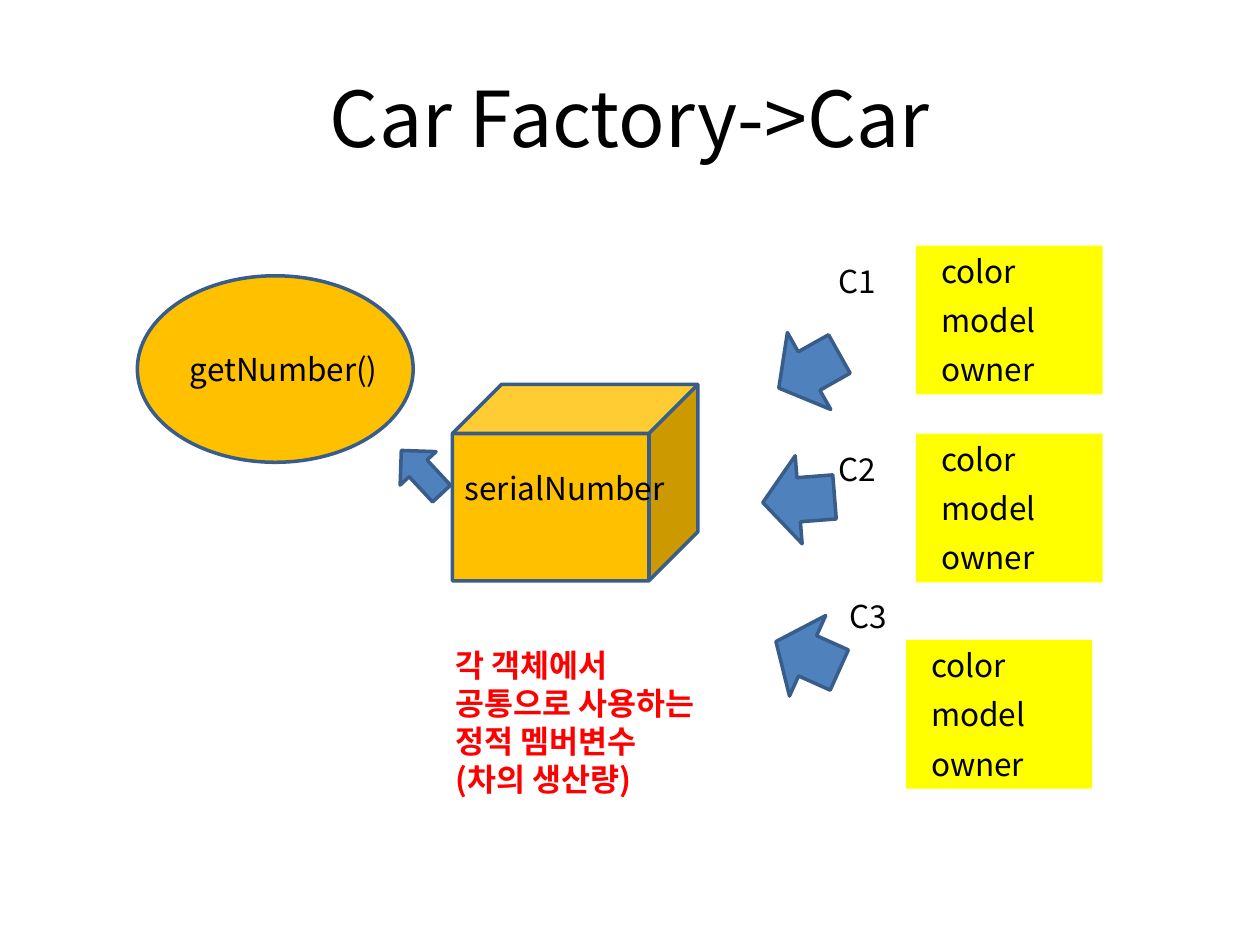
"""Build the Car Factory slide, where three cars share one static serial number."""
from lxml import etree
from pptx import Presentation, util as u
from pptx.dml.color import RGBColor
from pptx.enum import shapes, text
from pptx.oxml import ns

BLACK = RGBColor(0x00, 0x00, 0x00)
RED = RGBColor(0xFF, 0x00, 0x00)
YELLOW = RGBColor(0xFF, 0xFF, 0x00)
ORANGE = RGBColor(0xFF, 0xC0, 0x00)
BLUE = RGBColor(0x4F, 0x81, 0xBD)
NAVY = RGBColor(0x38, 0x5D, 0x8A)

ROW_HEIGHT = 1.02
ROW_PITCH = 0.99
FIELDS = ("color", "model", "owner")


class FactorySlide:
    """Hold the slide and its style, and draw each kind of element."""

    face = "Noto Sans CJK KR"
    body = {"size": u.Pt(18), "bold": False}

    def __init__(self, slide):
        """Keep the slide to draw on."""
        self.slide = slide

    def set_lines(self, shape, lines, color=BLACK, inset=0.25,
                  align=text.PP_ALIGN.LEFT, anchor=text.MSO_ANCHOR.TOP, **style):
        """Fill a shape with one paragraph per line."""
        frame = shape.text_frame
        layout = {"word_wrap": True, "vertical_anchor": anchor,
                  "margin_left": u.Cm(inset), "margin_right": u.Cm(0.25),
                  "margin_top": u.Cm(0.13), "margin_bottom": u.Cm(0.13)}
        for name, value in layout.items():
            setattr(frame, name, value)
        frame.text = "\n".join(lines)
        for paragraph in frame.paragraphs:
            paragraph.alignment = align
            for run in paragraph.runs:
                for name, value in {"name": self.face, **self.body, **style}.items():
                    setattr(run.font, name, value)
                run.font.color.rgb = color
                east_asian = etree.SubElement(run._r.get_or_add_rPr(), ns.qn("a:ea"))
                east_asian.set("typeface", self.face)

    def label(self, box, *lines, **style):
        """Add a text box."""
        self.set_lines(self.slide.shapes.add_textbox(*map(u.Cm, box)), lines, **style)

    def block(self, kind, box, fill, outlined=True, rotation=0):
        """Add a filled preset shape."""
        shape = self.slide.shapes.add_shape(kind, *map(u.Cm, box))
        shape.shadow.inherit = False
        shape.rotation = rotation
        shape.fill.solid()
        shape.fill.fore_color.rgb = fill
        if outlined:
            shape.line.color.rgb = NAVY
            shape.line.width = u.Pt(2)
        else:
            shape.line.fill.background()
        return shape

    def arrow(self, box, rotation):
        """Add a turned block arrow."""
        self.block(shapes.MSO_SHAPE.DOWN_ARROW, box, BLUE, rotation=rotation)

    def car(self, left, top):
        """Add the stacked fields of one car."""
        for row, field in enumerate(FIELDS):
            box = (left, top + row * ROW_PITCH, 3.76, ROW_HEIGHT)
            cell = self.block(shapes.MSO_SHAPE.RECTANGLE, box, YELLOW, outlined=False)
            self.set_lines(cell, [field], inset=0.51)


def main():
    """Draw the slide and save it."""
    deck = Presentation()
    deck.slide_width, deck.slide_height = u.Cm(25.4), u.Cm(19.05)
    factory = FactorySlide(deck.slides.add_slide(deck.slide_layouts[6]))

    factory.label((1.27, 0.76, 22.86, 3.18), "Car Factory->Car", size=u.Pt(44),
                  align=text.PP_ALIGN.CENTER, anchor=text.MSO_ANCHOR.MIDDLE)

    for corner in ((18.47, 4.95), (18.47, 8.74), (18.26, 12.9)):
        factory.car(*corner)

    factory.block(shapes.MSO_SHAPE.CUBE, (9.12, 7.75, 4.95, 3.96), ORANGE)
    factory.label((9.12, 9.32, 4.78, ROW_HEIGHT), "serialNumber")
    factory.label((8.94, 12.9, 5.56, 3.3), "각 객체에서 공통으로 사용하는 정적 멤버변수",
                  "(차의 생산량)", color=RED, bold=True)

    factory.block(shapes.MSO_SHAPE.OVAL, (2.77, 5.56, 5.56, 3.76), ORANGE)
    factory.label((3.58, 6.93, 4.57, ROW_HEIGHT), "getNumber()")

    for box, rotation in (((15.42, 6.78, 1.78, 1.4), 60.6),
                          ((15.21, 9.35, 1.78, 1.45), 85.5),
                          ((15.39, 12.52, 1.78, 1.4), 114.2),
                          ((8, 8.92, 0.99, 1.19), 137)):
        factory.arrow(box, rotation)

    for name, left, top in (("C1", 16.66, 5.16), ("C2", 16.66, 8.94), ("C3", 16.87, 11.91)):
        factory.label((left, top, 1.4, ROW_HEIGHT), name)

    deck.save("out.pptx")


if __name__ == "__main__":
    main()
